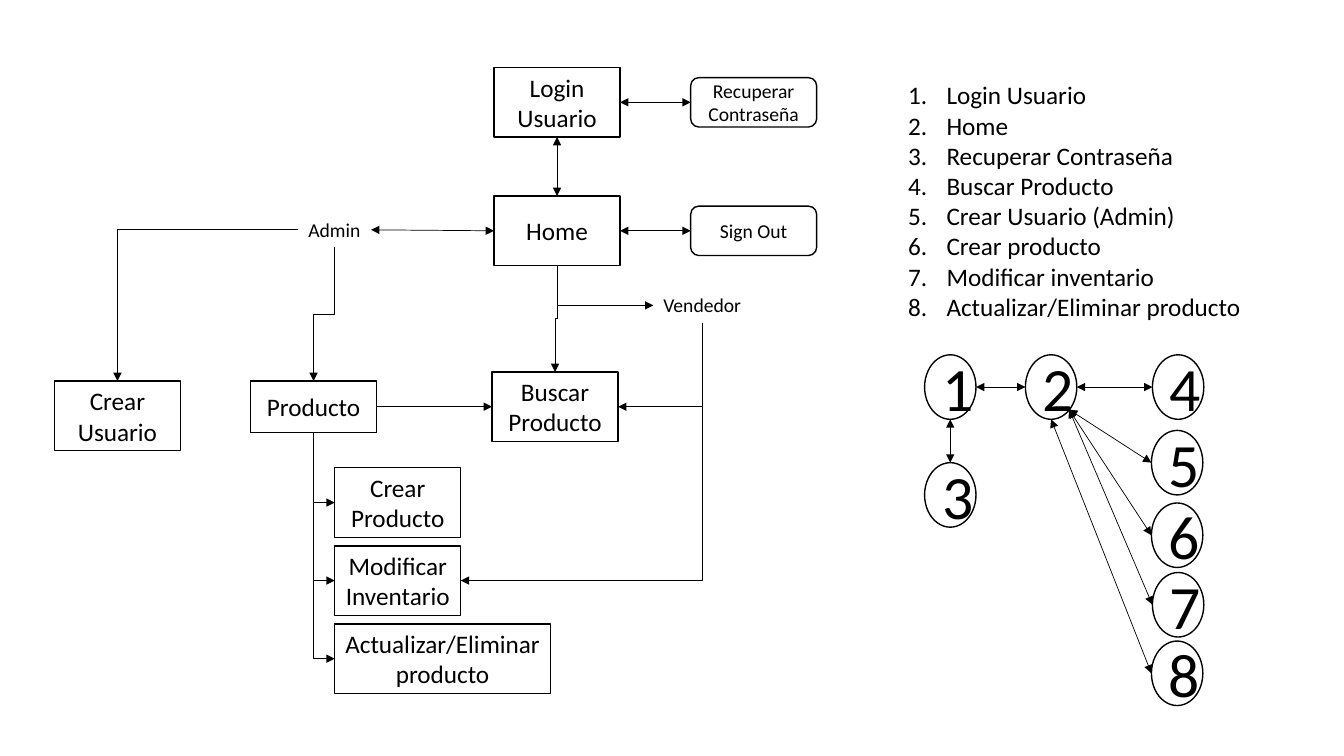
from dataclasses import dataclass

from lxml.etree import SubElement as sub
from pptx import Presentation
from pptx.dml.color import RGBColor as RGB
from pptx.enum.shapes import MSO_CONNECTOR as Wire, MSO_SHAPE as Form
from pptx.enum.text import MSO_ANCHOR as Anchor, MSO_AUTO_SIZE as Fit, PP_ALIGN as Align
from pptx.oxml.ns import qn
from pptx.util import Inches, Pt


@dataclass(frozen=True)
class Theme:
    font: str = "Calibri"
    ink: RGB = RGB(0, 0, 0)
    paper: RGB = RGB(255, 255, 255)
    small: float = 14
    body: float = 18
    huge: float = 44
    edge: float = 1
    thin: float = 0.5


THEME = Theme()
CELL = Inches(0.1)  # one grid column or row
BOX = (12.5, 6.9)
PILL = (12.5, 4.9)
RING = (5.1, 6.4)

# Sides of a shape: connection site, then share of its width and height
SIDES = {"top": (0, 0.5, 0), "left": (1, 0, 0.5), "bottom": (2, 0.5, 1),
         "right": (3, 1, 0.5), "corner": (None, 0.85, 0.85)}


def grid(*cells):
    return [round(CELL * n) for n in cells]


def style(frame, size, align):
    for para in frame.paragraphs:
        para.alignment = align
        for run in para.runs:
            run.font.name, run.font.size = THEME.font, Pt(size)
            run.font.color.rgb = THEME.ink


def node(slide, form, text, spot, dims, size):
    shape = slide.shapes.add_shape(form, *grid(*spot, *dims))
    shape.shadow.inherit = False
    shape.fill.solid()
    shape.fill.fore_color.rgb = THEME.paper
    shape.line.color.rgb = THEME.ink
    shape.line.width = Pt(THEME.edge)
    shape.text_frame.text = text
    shape.text_frame.vertical_anchor = Anchor.MIDDLE
    style(shape.text_frame, size, Align.CENTER)
    return shape


def label(slide, text, spot, dims, size):
    shape = slide.shapes.add_textbox(*grid(*spot, *dims))
    frame = shape.text_frame
    frame.text = text
    frame.word_wrap = False
    frame.auto_size = Fit.SHAPE_TO_FIT_TEXT
    style(frame, size, Align.LEFT)
    return shape


def number(frame):
    for para in frame.paragraphs:
        props = para._p.get_or_add_pPr()
        props.set("marL", str(Inches(0.38)))
        props.set("indent", str(-Inches(0.38)))
        sub(props, qn("a:buAutoNum"), type="arabicPeriod")


def point(shape, side):
    _, across, down = SIDES[side]
    return (round(shape.left + across * shape.width),
            round(shape.top + down * shape.height))


def link(slide, start, out, end, into, kind=Wire.STRAIGHT, both=False):
    first, last = point(start, out), point(end, into)
    wire = slide.shapes.add_connector(kind, *first, *last)
    wire.line.color.rgb = THEME.ink
    wire.line.width = Pt(THEME.thin)
    line = wire.line._get_or_add_ln()
    for tip in ("a:headEnd", "a:tailEnd") if both else ("a:tailEnd",):
        sub(line, qn(tip), type="triangle")
    sub(wire.element.spPr, qn("a:effectLst"))
    # Circles have other connection sites, so only boxes are glued
    if Form.OVAL not in (getattr(s, "auto_shape_type", None)
                         for s in (start, end) if s.shape_type == 1):
        wire.begin_connect(start, SIDES[out][0])
        wire.end_connect(end, SIDES[into][0])
    return wire


def elbow(slide, start, out, end, into):
    wire = link(slide, start, out, end, into, Wire.ELBOW)
    props = wire.element.spPr
    if (out, into) != ("bottom", "top"):
        props.find(qn("a:prstGeom")).set("prst", "bentConnector2")
    if out == "bottom":  # leave downwards: turn the frame a quarter
        right = wire.end_x > wire.begin_x
        wide, high = wire.width, wire.height
        wire.left += (wide - high) // 2
        wire.top += (high - wide) // 2
        wire.width, wire.height = high, wide
        frame = props.find(qn("a:xfrm"))
        frame.set("rot", str(90 * 60000))
        frame.set("flipH", "0")
        frame.set("flipV", "1" if right else "0")


def flow(slide):
    def box(text, x, y, dims=BOX):
        return node(slide, Form.RECTANGLE, text, (x, y), dims, THEME.body)

    def pill(text, x, y):
        return node(slide, Form.ROUNDED_RECTANGLE, text, (x, y), PILL, THEME.small)

    # Screens
    login = box("Login Usuario", 49, 6.7)
    home = box("Home", 49, 19.45)
    find = box("Buscar Producto", 48.8, 36.9)
    user = box("Crear Usuario", 5.4, 37.8)
    goods = box("Producto", 24.85, 37.8, (12.5, 5.1))
    reset = pill("Recuperar Contraseña", 68.5, 7.7)
    leave = pill("Sign Out", 68.5, 20.45)
    tasks = [("Crear Producto", 12.5), ("Modificar Inventario", 12.5),
             ("Actualizar/Eliminar producto", 21.4)]
    steps = [box(text, 33.2, 46.4 + 7.75 * i, (wide, 6.9))
             for i, (text, wide) in enumerate(tasks)]

    # Roles
    admin = label(slide, "Admin", (29.6, 21.1), (7.2, 3.4), THEME.small)
    seller = label(slide, "Vendedor", (64.8, 28.6), (9.8, 3.4), THEME.small)

    # Two-way and straight arrows
    for start, out, end, into in [(login, "right", reset, "left"),
                                  (login, "bottom", home, "top"),
                                  (home, "right", leave, "left"),
                                  (home, "left", admin, "right")]:
        link(slide, start, out, end, into, both=True)
    link(slide, goods, "right", find, "left")

    # Bent arrows
    elbow(slide, admin, "left", user, "top")
    elbow(slide, admin, "bottom", goods, "top")
    for step in steps:
        elbow(slide, goods, "bottom", step, "left")
    elbow(slide, home, "bottom", find, "top")
    elbow(slide, home, "bottom", seller, "left")
    for goal in (find, steps[1]):
        elbow(slide, seller, "bottom", goal, "right")


def graph(slide):
    spots = {1: (91.7, 35.2), 2: (101.7, 35.2), 3: (91.7, 45.9),
             4: (114.3, 35.2), 5: (114.2, 42.7), 6: (114.2, 49.9),
             7: (114.3, 56.8), 8: (114.2, 63.6)}
    rings = {n: node(slide, Form.OVAL, str(n), spot, RING, THEME.huge)
             for n, spot in spots.items()}
    ties = [(1, "right", 2, "left"), (1, "bottom", 3, "top"), (2, "right", 4, "left"),
            *((2, "corner", n, "left") for n in (5, 6, 7)), (2, "bottom", 8, "left")]
    for start, out, end, into in ties:
        link(slide, rings[start], out, rings[end], into, both=True)


def main():
    deck = Presentation()
    deck.slide_width, deck.slide_height = Inches(13.33), Inches(7.5)
    slide = deck.slides.add_slide(deck.slide_layouts[6])

    flow(slide)

    # Numbered key to the graph
    names = ["Login Usuario", "Home", "Recuperar Contraseña", "Buscar Producto",
             "Crear Usuario (Admin)", "Crear producto", "Modificar inventario",
             "Actualizar/Eliminar producto"]
    key = label(slide, "\n".join(names), (89.1, 7.4), (35.3, 25.2), THEME.body)
    number(key.text_frame)

    graph(slide)
    deck.save("out.pptx")


main()
